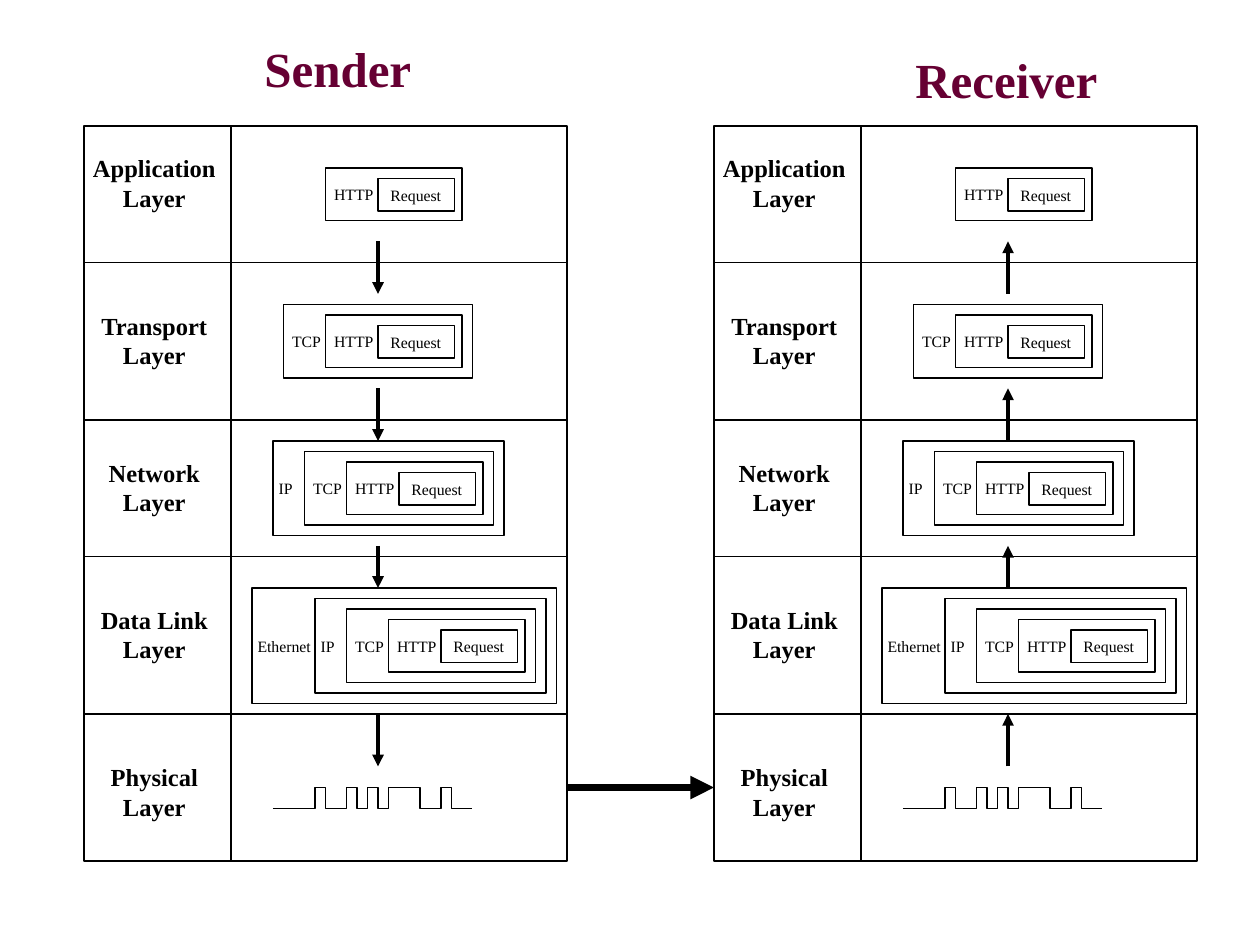
"""Build a slide that shows data passing through the network layers of a sender and a receiver."""
from lxml.etree import SubElement
from pptx import Presentation
from pptx.dml.color import RGBColor
from pptx.enum.shapes import MSO_CONNECTOR as Connector, MSO_SHAPE as Shape
from pptx.enum.text import MSO_ANCHOR as Anchor, MSO_AUTO_SIZE as AutoSize, PP_ALIGN as Align
from pptx.oxml.ns import qn
from pptx.util import Cm, Pt

COLORS = {"ink": "000000", "title": "660033"}
FONT = "Times New Roman"
STACK_LEFT, STACK_TOP, STACK_WIDTH, STACK_HEIGHT = 8, 12, 46, 70
STACK_STEP = 60
ROW_LINES = [25, 40, 53, 68]
LAYERS = [("Application", 14, 14), ("Transport", 29, 12.7), ("Network", 43, 11.2),
          ("Data Link", 57, 12.6), ("Physical", 72, 10.7)]
# Header name, distance left of the request, frame width, label shift, label width
HEADERS = [("HTTP", 5, 13, 0.36, 7), ("TCP", 9, 18, 0.36, 5.9),
           ("IP", 12, 22, 0.65, 3.7), ("Ethernet", 18, 29, 0.65, 8.6)]
REQUESTS = [(36, 17), (36, 31), (38, 45), (42, 60)]
ARROW_X = 36
ARROWS = [(23, 28), (37, 42), (52, 56), (68, 73)]
PULSES = [(30, 31), (33, 34), (35, 36), (37, 40), (42, 43)]
WAVE_START, WAVE_END, WAVE_LOW, WAVE_HIGH = 26, 45, 77, 75


def grid(count):
    """Return a length of so many grid steps, twelve to the inch."""
    return Cm(count * 2.54 / 12)


def color(name):
    """Look up a colour by its role."""
    return RGBColor.from_string(COLORS[name])


def write(box, lines, size, bold=False, ink="ink", align=Align.LEFT):
    """Fill a shape with one formatted run per line."""
    frame = box.text_frame
    frame.word_wrap = True
    frame.auto_size = AutoSize.NONE
    frame.vertical_anchor = Anchor.MIDDLE
    frame.margin_left = Cm(0.25) if align == Align.LEFT else 0
    frame.margin_right = 0
    for index, line in enumerate(lines):
        para = frame.add_paragraph() if index else frame.paragraphs[0]
        para.alignment = align
        span = para.add_run()
        span.text = line
        span.font.name = FONT
        span.font.size = Pt(size)
        span.font.bold = bold
        span.font.color.rgb = color(ink)


def add_label(page, left, top, width, height, lines, size, **style):
    """Add a text box on the grid."""
    box = page.shapes.add_textbox(grid(left), grid(top), grid(width), grid(height))
    write(box, lines, size, **style)


def outline(shape):
    """Leave only a thin dark outline on a shape."""
    shape.shadow.inherit = False
    shape.fill.background()
    shape.line.color.rgb = color("ink")
    shape.line.width = Pt(0.75)


def add_frame(page, left, top, width, height):
    """Add an empty outlined rectangle."""
    box = page.shapes.add_shape(Shape.RECTANGLE, grid(left), grid(top), grid(width), grid(height))
    outline(box)
    return box


def add_line(page, start, end, width=0.75, arrow=False):
    """Add a straight line, with an arrowhead at its end if asked."""
    line = page.shapes.add_connector(Connector.STRAIGHT, *map(grid, start + end))
    line.line.color.rgb = color("ink")
    line.line.width = Pt(width)
    if arrow:
        SubElement(line.line._get_or_add_ln(), qn("a:tailEnd"), type="triangle")
    SubElement(line._element.spPr, qn("a:effectLst"))


def add_packet(page, left, top, depth):
    """Add a request wrapped in as many headers as its layer needs."""
    for level, (name, reach, width, shift, label_width) in enumerate(HEADERS[:depth], 1):
        add_frame(page, left - reach, top - level, width, 3 + 2 * level)
        add_label(page, left - reach - shift, top, label_width, 3, [name], 9)
    write(add_frame(page, left, top, 7.3, 3.1), ["Request"], 9)


def add_wave(page, offset):
    """Add the square wave of the physical layer."""
    points = []
    for rise, fall in PULSES:
        points += [(rise, WAVE_LOW), (rise, WAVE_HIGH), (fall, WAVE_HIGH), (fall, WAVE_LOW)]
    points.append((WAVE_END, WAVE_LOW))
    builder = page.shapes.build_freeform(grid(WAVE_START + offset), grid(WAVE_LOW))
    builder.add_line_segments([(grid(x + offset), grid(y)) for x, y in points], close=False)
    outline(builder.convert_to_shape())


def add_stack(page, offset, upward):
    """Add the five layers of one host."""
    left = STACK_LEFT + offset
    right = left + STACK_WIDTH
    divider = left + 14
    add_frame(page, left, STACK_TOP, STACK_WIDTH, STACK_HEIGHT)
    add_line(page, (divider, STACK_TOP), (divider, STACK_TOP + STACK_HEIGHT))
    for row in ROW_LINES:
        add_line(page, (left, row), (right, row))
    for name, top, width in LAYERS:
        add_label(page, left + 6.7 - width / 2, top, width, 6.8, [name, "Layer"], 14,
                  bold=True, align=Align.CENTER)
    for depth, (x, y) in enumerate(REQUESTS, 1):
        add_packet(page, x + offset, y, depth)
    add_wave(page, offset)
    for ends in ARROWS:
        start, end = reversed(ends) if upward else ends
        add_line(page, (ARROW_X + offset, start), (ARROW_X + offset, end), 2.25, True)


def main():
    """Build the deck and save it."""
    deck = Presentation()
    deck.slide_width, deck.slide_height = Cm(25.4), Cm(19.05)
    page = deck.slides.add_slide(deck.slide_layouts[5])
    title = page.shapes.title
    title.left, title.top, title.width, title.height = map(grid, (24, 3.1, 16.4, 6.8))
    write(title, ["Sender"], 28, bold=True, ink="title")
    add_label(page, 86, 4.1, 19.7, 6.8, ["Receiver"], 28, bold=True, ink="title")
    add_stack(page, 0, upward=False)
    add_stack(page, STACK_STEP, upward=True)
    add_line(page, (STACK_LEFT + STACK_WIDTH, WAVE_HIGH),
             (STACK_LEFT + STACK_STEP, WAVE_HIGH), 4.5, True)
    deck.save("out.pptx")


if __name__ == "__main__":
    main()
